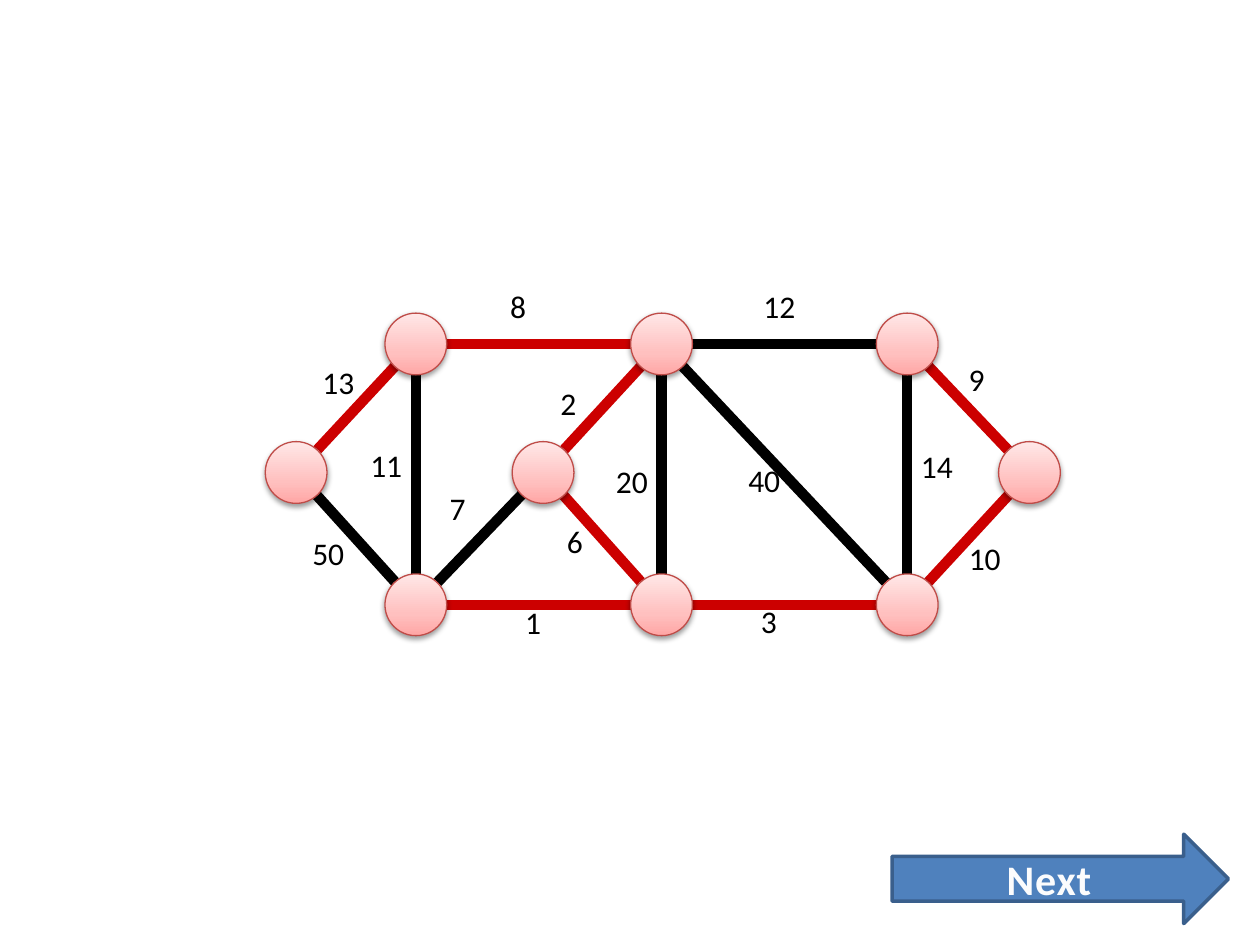
"""Build a slide with a weighted graph and its minimum spanning tree in red."""
from copy import deepcopy
from dataclasses import dataclass

from pptx import Presentation
from pptx.dml.color import RGBColor
from pptx.enum.shapes import MSO_CONNECTOR, MSO_SHAPE
from pptx.enum.text import MSO_ANCHOR, MSO_AUTO_SIZE, PP_ALIGN
from pptx.oxml import parse_xml
from pptx.oxml.ns import nsdecls, qn
from pptx.util import Inches, Pt

STRAIGHT = MSO_CONNECTOR.STRAIGHT
OVAL, ARROW = MSO_SHAPE.OVAL, MSO_SHAPE.RIGHT_ARROW
LEFT, CENTER = PP_ALIGN.LEFT, PP_ALIGN.CENTER
TOP, MIDDLE = MSO_ANCHOR.TOP, MSO_ANCHOR.MIDDLE
FIT = MSO_AUTO_SIZE.SHAPE_TO_FIT_TEXT

NODES = {
    "A": (3.3, 2.73), "B": (5.25, 2.73), "C": (7.2, 2.73),
    "D": (2.35, 3.75), "E": (4.31, 3.75), "F": (8.17, 3.75),
    "G": (3.3, 4.8), "H": (5.25, 4.8), "I": (7.2, 4.8),
}
TREE = {"HI", "BE", "AB", "GH", "EH", "AD", "FI", "CF"}
EDGES = [
    ("HI", "3", 5.94, 4.73), ("BE", "2", 4.35, 3.0), ("BC", "12", 5.96, 2.23),
    ("AG", "11", 2.84, 3.49), ("BH", "20", 4.79, 3.62), ("CI", "14", 7.21, 3.5),
    ("AB", "8", 3.95, 2.23), ("GH", "1", 4.07, 4.74), ("EH", "6", 4.4, 4.09),
    ("DG", "50", 2.38, 4.19), ("AD", "13", 2.46, 2.83), ("FI", "10", 7.59, 4.23),
    ("CF", "9", 7.59, 2.81), ("EG", "7", 3.47, 3.83), ("BI", "40", 5.84, 3.61),
]
SIZE = 0.49


@dataclass(frozen=True)
class Theme:
    font: str = "Calibri"
    label: float = 18
    button: float = 24
    ink: str = "000000"
    tree: str = "CC0000"
    rim: str = "BF4C48"
    blue: str = "4F81BD"
    edge: str = "3A5F8C"
    white: str = "FCFCFD"
    glow: tuple = ((0, "FFA6A5"), (0.35, "FFC0BF"), (1, "FFE7E7"))


LOOK = Theme()


def rgb(code):
    return RGBColor.from_string(code)


def write(shape, text, size=LOOK.label, color=LOOK.ink, bold=False,
          align=LEFT, anchor=TOP, wrap=True, space=0):
    frame = shape.text_frame
    frame.word_wrap = wrap
    frame.vertical_anchor = anchor
    line = frame.paragraphs[0]
    line.alignment = align
    run = line.add_run()
    run.text = text
    font = run.font
    font.name, font.size, font.bold = LOOK.font, Pt(size), bold
    font.color.rgb = rgb(color)
    if space:
        run._r.get_or_add_rPr().set("spc", str(space))
    return frame


def stroke(line, color, width):
    line.color.rgb = rgb(color)
    line.width = Pt(width)


def link(slide, ends):
    spots = [Inches(v) for end in ends for v in NODES[end]]
    bar = slide.shapes.add_connector(STRAIGHT, *spots)
    stroke(bar.line, LOOK.tree if ends in TREE else LOOK.ink, 6)
    bar._element.spPr.append(parse_xml(f'<a:effectLst {nsdecls("a")}/>'))


def node(slide, x, y):
    ball = slide.shapes.add_shape(OVAL, Inches(x - SIZE / 2), Inches(y - SIZE / 2),
                                  Inches(SIZE), Inches(SIZE))
    stroke(ball.line, LOOK.rim, 0.75)
    ball.fill.gradient()
    ball.fill.gradient_angle = 90
    props = ball._element.spPr
    stops = props.find(".//" + qn("a:gsLst"))
    stops.append(deepcopy(stops[-1]))
    for stop, (place, color) in zip(ball.fill.gradient_stops, LOOK.glow):
        stop.position = place
        stop.color.rgb = rgb(color)
    props.append(parse_xml(
        f'<a:effectLst {nsdecls("a")}><a:outerShdw blurRad="{Pt(3.1)}" '
        f'dist="{Pt(1.6)}" dir="5400000" rotWithShape="0"><a:srgbClr val="{LOOK.ink}">'
        '<a:alpha val="38000"/></a:srgbClr></a:outerShdw></a:effectLst>'))


def label(slide, text, x, y):
    box = slide.shapes.add_textbox(Inches(x), Inches(y),
                                   Inches(0.2 + 0.14 * len(text)), Inches(0.4))
    write(box, text, wrap=False).auto_size = FIT


def button(slide, text):
    shape = slide.shapes.add_shape(ARROW, Inches(7.08), Inches(6.62),
                                   Inches(2.67), Inches(0.71))
    shape.shadow.inherit = False
    shape.fill.solid()
    shape.fill.fore_color.rgb = rgb(LOOK.blue)
    stroke(shape.line, LOOK.edge, 2)
    write(shape, text, size=LOOK.button, color=LOOK.white, bold=True,
          align=CENTER, anchor=MIDDLE, space=50)


def main():
    deck = Presentation()
    deck.slide_width, deck.slide_height = Inches(10), Inches(7.5)
    slide = deck.slides.add_slide(deck.slide_layouts[6])
    for ends, *_ in EDGES:
        link(slide, ends)
    for spot in NODES.values():
        node(slide, *spot)
    for _, *tag in EDGES:
        label(slide, *tag)
    button(slide, "Next")
    deck.save("out.pptx")


main()
